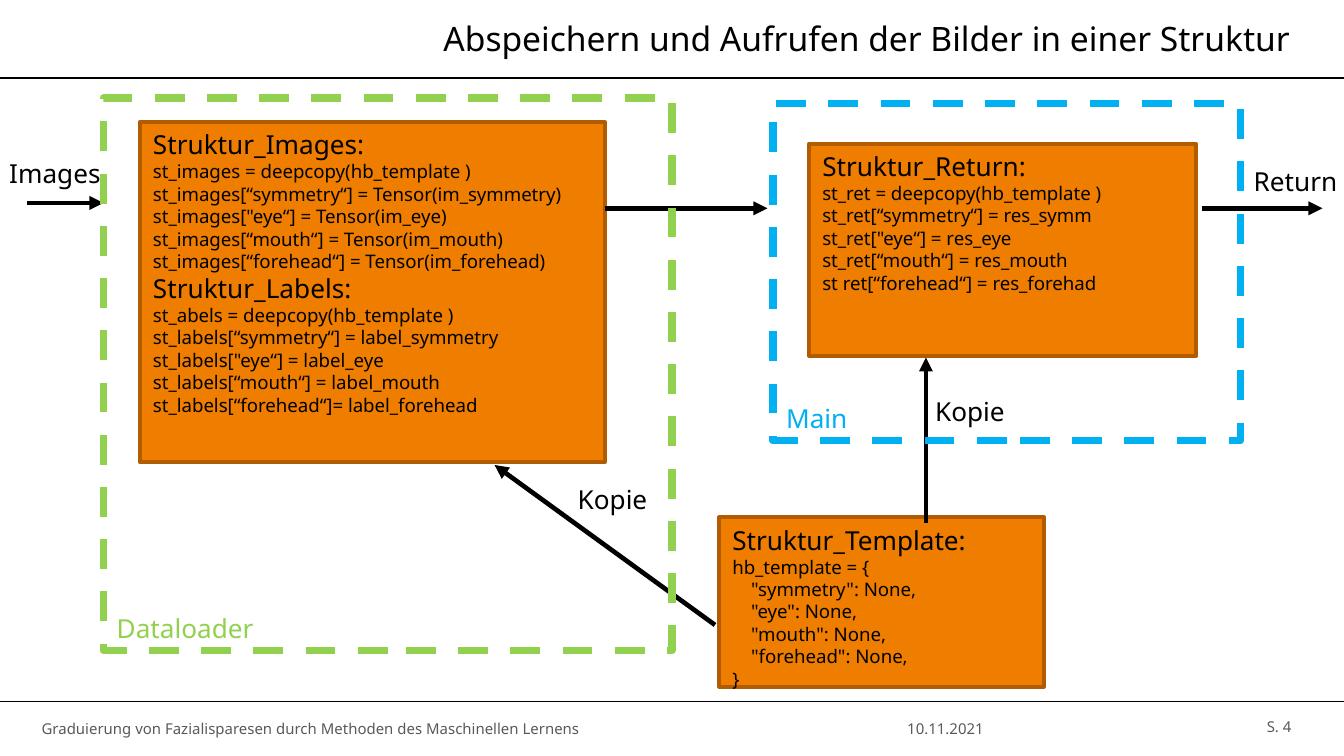
import pptx
import pptx.util
import pptx.dml.color
import pptx.enum.dml
import pptx.enum.shapes
import pptx.enum.text
import pptx.oxml

PX = 9144  # EMU per px, 100 px to the inch
FONT = "Noto Sans"
COLORS = {
    "text": "000000",
    "footer": "595959",
    "box": "EF7D00",
    "box_line": "B15C00",
    "loader": "92D050",
    "main": "00B0F0",
}
ANCHOR = pptx.enum.text.MSO_ANCHOR
ALIGN = pptx.enum.text.PP_ALIGN
HEADING, CODE, SMALL = 14, 10, 8

# Each block is a heading followed by its code lines; a tab marks an indent
TEMPLATE = [("Struktur_Template:", [
    "hb_template = {", '\t"symmetry": None,', '\t"eye": None,',
    '\t"mouth": None,', '\t"forehead": None,', "}"])]
IMAGES_LABELS = [
    ("Struktur_Images:", [
        "st_images = deepcopy(hb_template )",
        "st_images[“symmetry“] = Tensor(im_symmetry)",
        'st_images["eye“] = Tensor(im_eye)',
        "st_images[“mouth“] = Tensor(im_mouth)",
        "st_images[“forehead“] = Tensor(im_forehead)"]),
    ("Struktur_Labels:", [
        "st_abels = deepcopy(hb_template )",
        "st_labels[“symmetry“] = label_symmetry",
        'st_labels["eye“] = label_eye',
        "st_labels[“mouth“] = label_mouth",
        "st_labels[“forehead“]= label_forehead"]),
]
RETURN = [("Struktur_Return:", [
    "st_ret = deepcopy(hb_template )",
    "st_ret[“symmetry“] = res_symm",
    'st_ret["eye“] = res_eye',
    "st_ret[“mouth“] = res_mouth",
    "st ret[“forehead“] = res_forehad"])]


def px(*values):
    return [pptx.util.Emu(v * PX) for v in values]


def rgb(name):
    return pptx.dml.color.RGBColor.from_string(COLORS[name])


def format_paragraph(p, size, color="text", align=ALIGN.LEFT):
    p.alignment = align
    p.line_spacing = 1.0
    p.space_before = p.space_after = pptx.util.Pt(0)
    for r in p.runs:
        r.font.size = pptx.util.Pt(size)
        r.font.name = FONT
        r.font.color.rgb = rgb(color)


def set_insets(tf, left, top, right, bottom):
    tf.margin_left, tf.margin_top, tf.margin_right, tf.margin_bottom = px(
        left, top, right, bottom)


def add_title(slide, text, at):
    sp = slide.shapes.title
    sp.left, sp.top, sp.width, sp.height = px(*at)
    tf = sp.text_frame
    tf.text = text
    tf.word_wrap = True
    tf.auto_size = pptx.enum.text.MSO_AUTO_SIZE.NONE
    tf.vertical_anchor = ANCHOR.MIDDLE
    set_insets(tf, 0, 4, 7, 4)
    format_paragraph(tf.paragraphs[0], 18, align=ALIGN.RIGHT)


def add_text(slide, text, at):
    tf = slide.shapes.add_textbox(*px(*at)).text_frame
    tf.text = text
    tf.word_wrap = True
    return tf


def add_label(slide, text, at):
    tf = add_text(slide, text, at)
    tf.auto_size = pptx.enum.text.MSO_AUTO_SIZE.SHAPE_TO_FIT_TEXT
    format_paragraph(tf.paragraphs[0], HEADING)


def add_footer(slide, text, at, align, left_inset=7):
    tf = add_text(slide, text, at)
    tf.vertical_anchor = ANCHOR.MIDDLE
    set_insets(tf, left_inset, 4, 7, 4)
    format_paragraph(tf.paragraphs[0], SMALL, "footer", align)


def add_rect(slide, at, line, width):
    sp = slide.shapes.add_shape(pptx.enum.shapes.MSO_SHAPE.RECTANGLE, *px(*at))
    sp.shadow.inherit = False
    sp.line.color.rgb = rgb(line)
    sp.line.width = pptx.util.Pt(width)
    return sp


def add_code_box(slide, blocks, at):
    sp = add_rect(slide, at, "box_line", 2)
    sp.fill.solid()
    sp.fill.fore_color.rgb = rgb("box")
    tf = sp.text_frame
    tf.vertical_anchor = ANCHOR.TOP
    rows = [(text, size) for heading, code in blocks
            for text, size in [(heading, HEADING)] + [(c, CODE) for c in code]]
    for i, (text, size) in enumerate(rows):
        p = tf.paragraphs[0] if i == 0 else tf.add_paragraph()
        p.text = text.lstrip("\t")
        format_paragraph(p, size)
        if text.startswith("\t"):
            p._p.get_or_add_pPr().set("marL", str(14 * PX))


def add_frame(slide, name, at, color):
    sp = add_rect(slide, at, color, 4)
    sp.fill.background()
    sp.line.dash_style = pptx.enum.dml.MSO_LINE.DASH
    tf = sp.text_frame
    tf.text = name
    tf.vertical_anchor = ANCHOR.BOTTOM
    format_paragraph(tf.paragraphs[0], HEADING, color)


def add_line(slide, points, width, arrow=False):
    line = slide.shapes.add_connector(
        pptx.enum.shapes.MSO_CONNECTOR.STRAIGHT, *px(*points))
    line.line.color.rgb = rgb("text")
    line.line.width = pptx.util.Pt(width)
    if arrow:
        line.line._get_or_add_ln().append(pptx.oxml.parse_xml(
            '<a:tailEnd xmlns:a="http://schemas.openxmlformats.org/'
            'drawingml/2006/main" type="triangle"/>'))
    line._element.spPr.append(pptx.oxml.parse_xml(
        '<a:effectLst xmlns:a="http://schemas.openxmlformats.org/'
        'drawingml/2006/main"/>'))


def main():
    prs = pptx.Presentation()
    prs.slide_width = pptx.util.Emu(1000 * PX)
    prs.slide_height = pptx.util.Emu(prs.slide_width * 9 // 16)
    slide = prs.slides.add_slide(prs.slide_layouts[5])

    # Header and footer
    for y in (58, 522):
        add_line(slide, (0, y, 1000, y), 1)
    add_title(slide, "Abspeichern und Aufrufen der Bilder in einer Struktur",
              (231, 11, 736, 35))
    add_footer(slide, "10.11.2021", (524, 522, 359, 40), ALIGN.CENTER)
    add_footer(slide, "Graduierung von Fazialisparesen durch Methoden des "
               "Maschinellen Lernens", (31, 522, 493, 40), ALIGN.LEFT, 0)
    add_footer(slide, "S. 4", (881, 521, 87, 40), ALIGN.RIGHT)

    # Structures
    add_code_box(slide, TEMPLATE, (535, 385, 242, 126))
    add_code_box(slide, IMAGES_LABELS, (104, 91, 346, 253))
    add_code_box(slide, RETURN, (602, 107, 288, 158))

    # Data flow and copies of the template
    for points in ((20, 151, 77, 151), (450, 155, 571, 155), (894, 155, 984, 155),
                   (532, 465, 368, 346), (689, 389, 689, 266)):
        add_line(slide, points, 2.5, arrow=True)
    for text, at in (("Images", (-3, 112, 91, 34)), ("Return", (923, 118, 110, 34)),
                     ("Kopie", (686, 289, 110, 34)), ("Kopie", (420, 355, 110, 34))):
        add_label(slide, text, at)

    # Dashed module frames
    add_frame(slide, "Dataloader", (77, 73, 423, 411), "loader")
    add_frame(slide, "Main", (575, 77, 348, 251), "main")

    prs.save("out.pptx")


if __name__ == "__main__":
    main()
